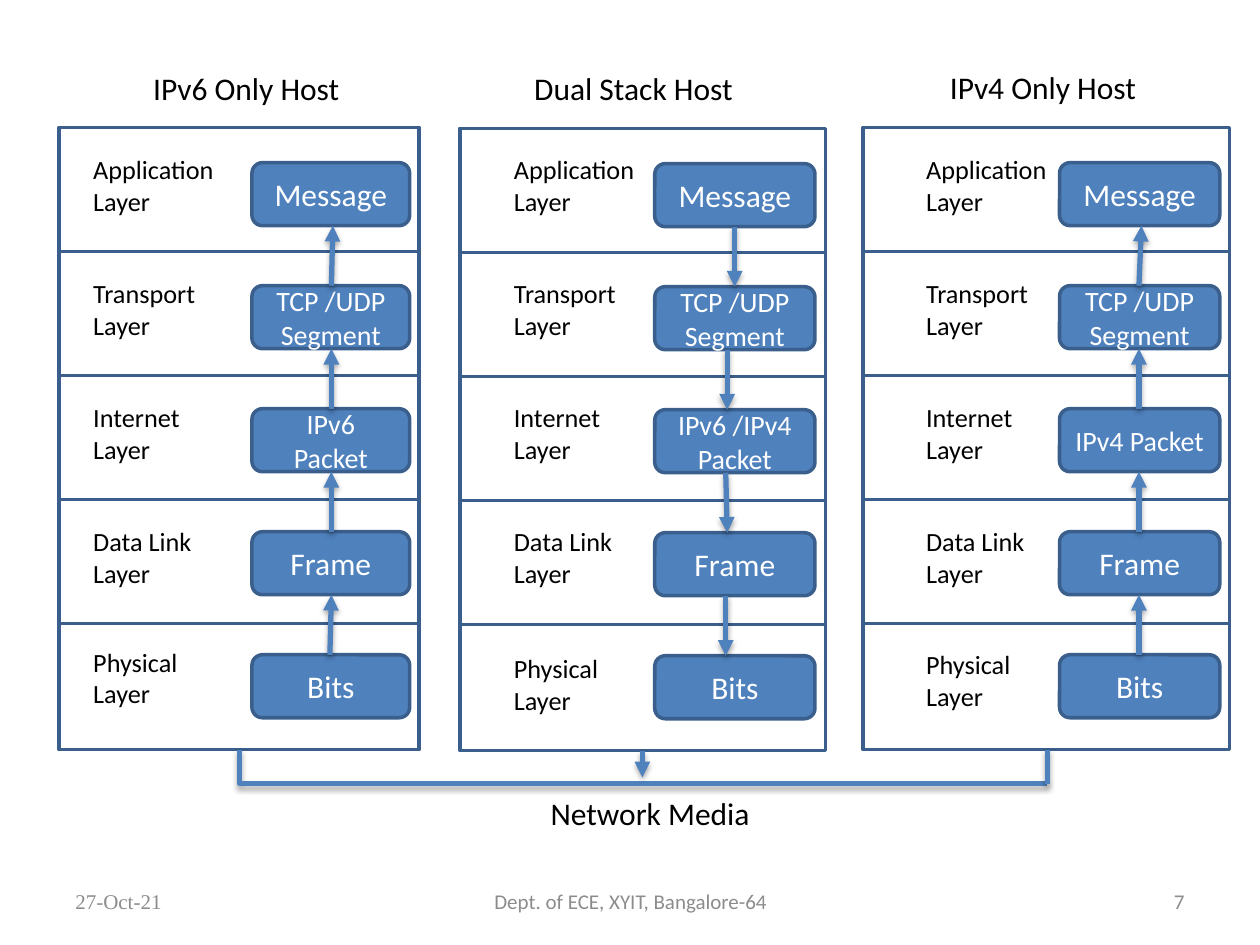
import pptx
import pptx.dml.color
import pptx.enum.shapes
import pptx.enum.text
import pptx.oxml
import pptx.oxml.ns
import pptx.util

Cm = pptx.util.Cm
SHAPE = pptx.enum.shapes.MSO_SHAPE
CONNECTOR = pptx.enum.shapes.MSO_CONNECTOR
ALIGN = pptx.enum.text.PP_ALIGN
ANCHOR = pptx.enum.text.MSO_ANCHOR
COLORS = {"blue": "4F81BD", "edge": "3A5F8C", "white": "FFFFFF",
          "black": "000000", "gray": "8C8C8C"}
NS = pptx.oxml.ns.nsdecls("a")
SHADOW = (f'<a:effectLst {NS}><a:outerShdw blurRad="39370" dist="22860" dir="5400000" '
          'rotWithShape="0"><a:srgbClr val="000000"><a:alpha val="35000"/></a:srgbClr>'
          '</a:outerShdw></a:effectLst>')
ARROWHEAD = f'<a:tailEnd {NS} type="triangle"/>'


class Diagram:
    """Holds the style and the current slide; lengths are centimetres."""

    def __init__(self, slide):
        self.slide = slide
        self.font = "Calibri"

    def color(self, name):
        return pptx.dml.color.RGBColor.from_string(COLORS[name])

    def fill_text(self, s, text, size, color, align, font=None):
        tf = s.text_frame
        tf.word_wrap = True
        p = tf.paragraphs[0]
        p.text = text
        p.alignment = align
        p.font.size = pptx.util.Pt(size)
        p.font.name = font or self.font
        p.font.color.rgb = self.color(color)

    def text(self, text, x, y, w, h, size, color="black", align=ALIGN.LEFT,
             anchor=ANCHOR.TOP, font=None):
        s = self.slide.shapes.add_textbox(Cm(x), Cm(y), Cm(w), Cm(h))
        self.fill_text(s, text, size, color, align, font)
        s.text_frame.vertical_anchor = anchor

    def box(self, kind, x, y, w, h, fill):
        s = self.slide.shapes.add_shape(kind, Cm(x), Cm(y), Cm(w), Cm(h))
        s.shadow.inherit = False
        s.fill.solid()
        s.fill.fore_color.rgb = self.color(fill)
        s.line.color.rgb = self.color("edge")
        s.line.width = pptx.util.Pt(2)
        return s

    def panel(self, x, y, w, h):
        self.box(SHAPE.RECTANGLE, x, y, w, h, "white")

    def unit(self, text, size, x, y, w, h):
        """Rounded box naming the data unit of a layer."""
        s = self.box(SHAPE.ROUNDED_RECTANGLE, x, y, w, h, "blue")
        self.fill_text(s, text, size, "white", ALIGN.CENTER)
        s.text_frame.vertical_anchor = ANCHOR.MIDDLE

    def line(self, start, end, arrow=False, kind=CONNECTOR.STRAIGHT):
        c = self.slide.shapes.add_connector(kind, *(Cm(v) for v in (*start, *end)))
        c.line.color.rgb = self.color("blue")
        c.line.width = pptx.util.Pt(3)
        sp_pr = c.element.spPr
        if arrow:
            sp_pr.find(pptx.oxml.ns.qn("a:ln")).append(pptx.oxml.parse_xml(ARROWHEAD))
        sp_pr.append(pptx.oxml.parse_xml(SHADOW))
        return c

    def elbow(self, start, end):
        """Connector that runs down from start, then right to end."""
        (x1, y1), (x2, y2) = start, end
        cx, cy = (x1 + x2) / 2, (y1 + y2) / 2
        half_w, half_h = (y2 - y1) / 2, (x2 - x1) / 2
        # The bend is drawn upright and mirrored, then turned by 270 degrees.
        c = self.line((cx + half_w, cy - half_h), (cx - half_w, cy + half_h),
                      kind=CONNECTOR.ELBOW)
        sp_pr = c.element.spPr
        sp_pr.find(pptx.oxml.ns.qn("a:xfrm")).set("rot", "16200000")
        sp_pr.find(pptx.oxml.ns.qn("a:prstGeom")).set("prst", "bentConnector2")


LAYERS = ["Application Layer", "Transport Layer", "Internet Layer",
          "Data Link Layer", "Physical Layer"]
ROW_PITCH, ROW_H = 2.5, 2.54
UNIT_PITCH, UNIT_H = 2.48, 1.27

# arrows: x at the upper and the lower end of each gap, from the top down
HOSTS = [
    dict(title="IPv6 Only Host", title_at=(2.84, 1.27, 4.45), x=1.19, y=2.57, w=7.26,
         label_x=1.63, physical_y=12.9, unit_x=5.08, unit_w=3.18, packet="IPv6 Packet",
         down=False, arrows=[(6.71, 6.68), (6.68, 6.68), (6.68, 6.68), (6.68, 6.65)]),
    dict(title="Dual Stack Host", title_at=(10.52, 1.27, 4.88), x=9.27, y=2.59, w=7.37,
         label_x=10.11, physical_y=13.03, unit_x=13.2, unit_w=3.23,
         packet="IPv6 /IPv4 Packet", down=True,
         arrows=[(14.81, 14.81), (14.66, 14.66), (14.63, 14.66), (14.63, 14.63)]),
    dict(title="IPv4 Only Host", title_at=(18.9, 1.24, 4.45), x=17.4, y=2.57, w=7.39,
         label_x=18.42, physical_y=12.95, unit_x=21.36, unit_w=3.23, packet="IPv4 Packet",
         down=False, arrows=[(23.01, 22.96), (22.96, 22.96), (22.96, 22.96), (22.96, 22.96)]),
]


def draw_host(d, host):
    x, y, title_w = host["title_at"]
    d.text(host["title"], x, y, title_w, 1.02, 18)
    units = [("Message", 18), ("TCP /UDP Segment", 16), (host["packet"], 16),
             ("Frame", 18), ("Bits", 18)]
    unit_tops = [host["y"] + 0.71 + i * UNIT_PITCH for i in range(len(units))]
    label_tops = [2.97 + i * ROW_PITCH for i in range(4)] + [host["physical_y"]]

    for i in range(len(LAYERS)):
        d.panel(host["x"], host["y"] + i * ROW_PITCH, host["w"], ROW_H)
    for layer, label_y, (unit, size), unit_y in zip(LAYERS, label_tops, units, unit_tops):
        d.text(layer, host["label_x"], label_y, 3, 1.55, 15)
        d.unit(unit, size, host["unit_x"], unit_y, host["unit_w"], UNIT_H)
    for (x_upper, x_lower), above, below in zip(host["arrows"], unit_tops, unit_tops[1:]):
        ends = [(x_upper, above + UNIT_H), (x_lower, below)]
        d.line(*(ends if host["down"] else ends[::-1]), arrow=True)


def main():
    prs = pptx.Presentation()
    prs.slide_width, prs.slide_height = Cm(25.4), Cm(19.05)
    d = Diagram(prs.slides.add_slide(prs.slide_layouts[6]))

    for host in HOSTS:
        draw_host(d, host)

    d.elbow((4.83, 15.11), (21.11, 15.8))
    d.line((21.11, 15.11), (21.11, 15.8))
    d.line((12.95, 15.14), (12.95, 15.67), arrow=True)
    d.text("Network Media", 10.85, 15.88, 4.55, 1.02, 18)

    for text, x, w, align, font in [
        ("27-Oct-21", 1.27, 2.54, ALIGN.LEFT, "Times New Roman"),
        ("Dept. of ECE, XYIT, Bangalore-64", 8.69, 8.05, ALIGN.CENTER, None),
        ("7", 18.21, 5.92, ALIGN.RIGHT, None),
    ]:
        d.text(text, x, 17.65, w, 1.02, 12, "gray", align, ANCHOR.MIDDLE, font)

    prs.save("out.pptx")


if __name__ == "__main__":
    main()
